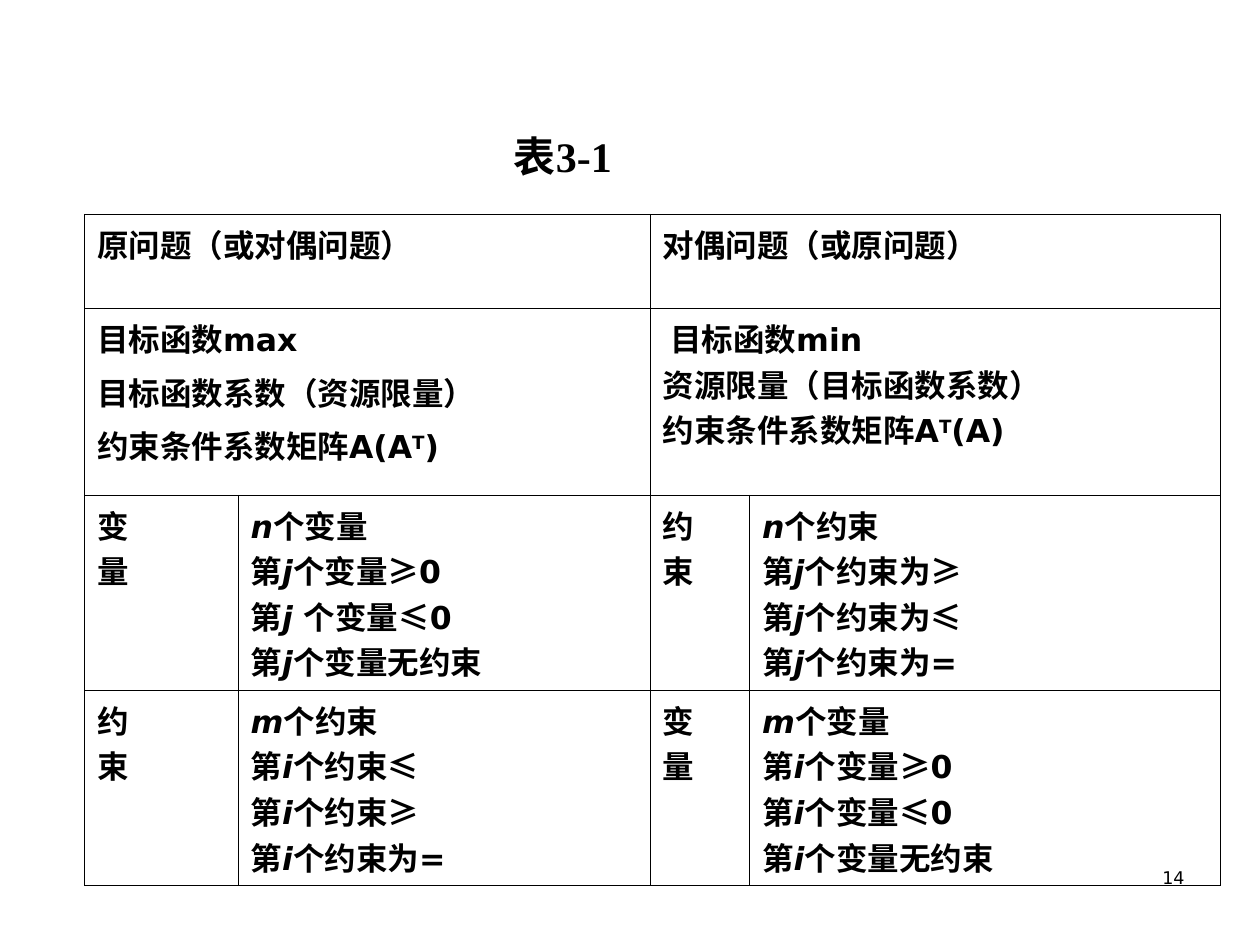
from dataclasses import dataclass

import pptx
import pptx.dml.color
import pptx.enum.text
import pptx.oxml.ns
import pptx.util
from lxml import etree
from pptx.util import Inches

BLACK = pptx.dml.color.RGBColor(0x00, 0x00, 0x00)
BODY_FONT = "DejaVu Sans"
TITLE_FONT = "Times New Roman"
BORDER_WIDTH = pptx.util.Pt(0.45)
Align = pptx.enum.text.PP_ALIGN

COLUMN_WIDTHS = (1.22, 3.27, 0.79, 3.74)
ROW_HEIGHTS = (0.75, 1.48, 1.55, 1.55)


@dataclass(frozen=True)
class Entry:
    row: int
    column: int
    lines: tuple[str, ...]
    columns_spanned: int = 1
    space_before: float = 0
    first_indent: float = 0


ENTRIES = (
    Entry(0, 0, ("原问题（或对偶问题）",), 2),
    Entry(0, 2, ("对偶问题（或原问题）",), 2),
    Entry(1, 0, ("目标函数max", "目标函数系数（资源限量）", "约束条件系数矩阵A(A^T^)"),
          2, space_before=4.5),
    Entry(1, 2, ("目标函数min", "资源限量（目标函数系数）", "约束条件系数矩阵A^T^(A)"),
          2, first_indent=0.06),
    Entry(2, 0, ("变", "量")),
    Entry(2, 1, ("*n*个变量", "第*j*个变量≥0", "第*j *个变量≤0", "第*j*个变量无约束")),
    Entry(2, 2, ("约", "束")),
    Entry(2, 3, ("*n*个约束", "第*j*个约束为≥", "第*j*个约束为≤", "第*j*个约束为=")),
    Entry(3, 0, ("约", "束")),
    Entry(3, 1, ("*m*个约束", "第*i*个约束≤", "第*i*个约束≥", "第*i*个约束为=")),
    Entry(3, 2, ("变", "量")),
    Entry(3, 3, ("*m*个变量", "第*i*个变量≥0", "第*i*个变量≤0", "第*i*个变量无约束")),
)


def write_text(frame, lines: tuple[str, ...], *, size: float = 18, font: str = BODY_FONT,
               bold: bool = True, align=Align.LEFT, space_before: float = 0,
               first_indent: float = 0) -> None:
    """Write one paragraph a line; *text* is italic and ^text^ is superscript."""
    frame.word_wrap = True
    for index, line in enumerate(lines):
        paragraph = frame.add_paragraph() if index else frame.paragraphs[0]
        paragraph.alignment = align
        if index:
            paragraph.space_before = pptx.util.Pt(space_before)
        elif first_indent:
            paragraph._p.get_or_add_pPr().set("indent", str(Inches(first_indent)))
        for italic_index, part in enumerate(line.split("*")):
            for raised_index, text in enumerate(part.split("^")):
                if not text:
                    continue
                run = paragraph.add_run()
                run.text = text
                run.font.name = font
                run.font.size = pptx.util.Pt(size)
                run.font.bold = bold
                run.font.italic = italic_index % 2 == 1
                run.font.color.rgb = BLACK
                if raised_index % 2:
                    run.font._element.set("baseline", "30000")


def add_label(slide, text: str, left: float, top: float, width: float, **text_format) -> None:
    shape = slide.shapes.add_textbox(Inches(left), Inches(top), Inches(width), Inches(0.5))
    write_text(shape.text_frame, (text,), **text_format)


def outline_cell(cell) -> None:
    properties = cell._tc.get_or_add_tcPr()
    for side in ("a:lnL", "a:lnR", "a:lnT", "a:lnB"):
        line = etree.SubElement(properties, pptx.oxml.ns.qn(side), w=str(BORDER_WIDTH))
        fill = etree.SubElement(line, pptx.oxml.ns.qn("a:solidFill"))
        etree.SubElement(fill, pptx.oxml.ns.qn("a:srgbClr"), val=str(BLACK))
    cell.fill.background()


def add_duality_table(slide) -> None:
    table = slide.shapes.add_table(
        len(ROW_HEIGHTS), len(COLUMN_WIDTHS), Inches(0.67), Inches(1.7),
        Inches(sum(COLUMN_WIDTHS)), Inches(sum(ROW_HEIGHTS))).table
    table.first_row = False
    table.horz_banding = False
    for column, width in zip(table.columns, COLUMN_WIDTHS):
        column.width = Inches(width)
    for row, height in zip(table.rows, ROW_HEIGHTS):
        row.height = Inches(height)
    for cell in table.iter_cells():
        outline_cell(cell)
    for entry in ENTRIES:
        cell = table.cell(entry.row, entry.column)
        if entry.columns_spanned > 1:
            cell.merge(table.cell(entry.row, entry.column + entry.columns_spanned - 1))
        write_text(cell.text_frame, entry.lines, space_before=entry.space_before,
                   first_indent=entry.first_indent)


def main() -> None:
    presentation = pptx.Presentation()
    presentation.slide_width = Inches(10)
    presentation.slide_height = Inches(7.5)
    slide = presentation.slides.add_slide(presentation.slide_layouts[6])
    add_label(slide, "14", 7.17, 6.83, 2.33, size=10, bold=False, align=Align.RIGHT)
    add_duality_table(slide)
    add_label(slide, "表3-1", 3.98, 0.99, 1.59, size=24, font=TITLE_FONT, align=Align.JUSTIFY)
    presentation.save("out.pptx")


if __name__ == "__main__":
    main()
